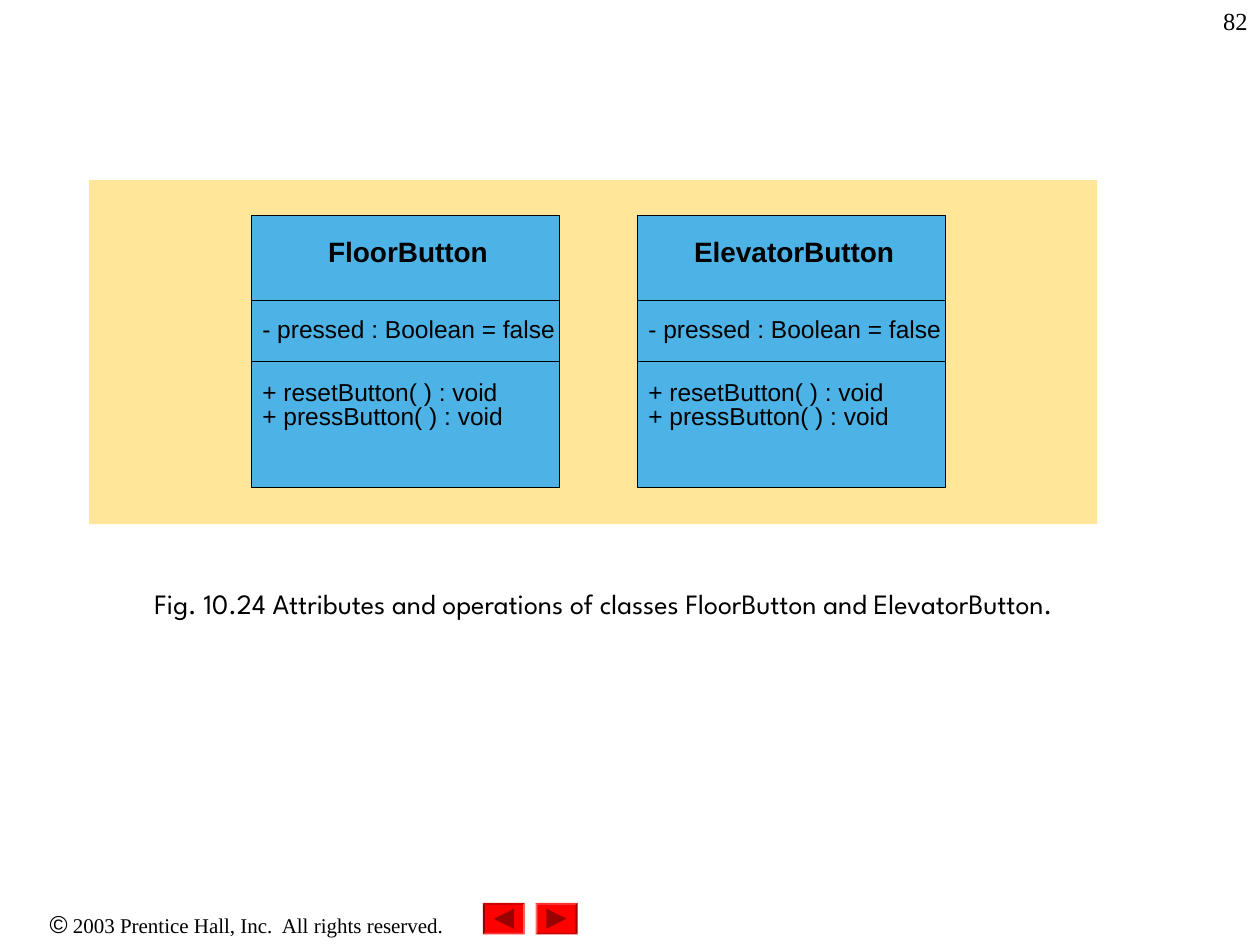
from dataclasses import dataclass

from lxml import etree
from pptx import Presentation
from pptx.dml.color import RGBColor
from pptx.enum.shapes import MSO_CONNECTOR, MSO_SHAPE
from pptx.enum.text import MSO_ANCHOR, PP_ALIGN
from pptx.oxml.ns import qn
from pptx.util import Pt

RECTANGLE, BEVEL, TRIANGLE = MSO_SHAPE.RECTANGLE, MSO_SHAPE.BEVEL, MSO_SHAPE.ISOSCELES_TRIANGLE
STRAIGHT = MSO_CONNECTOR.STRAIGHT
LEFT, CENTER, RIGHT = PP_ALIGN.LEFT, PP_ALIGN.CENTER, PP_ALIGN.RIGHT
TOP, MIDDLE = MSO_ANCHOR.TOP, MSO_ANCHOR.MIDDLE


@dataclass(frozen=True)
class Theme:
    """Colours, fonts and type sizes of the slide."""
    ink: str = "000000"
    panel: str = "FFE699"
    class_fill: str = "4DB3E6"
    button: str = "FF0000"
    arrow: str = "990000"
    sans: str = "Arial"
    serif: str = "Times New Roman"
    caption: str = "League Spartan"
    large: float = 16
    body: float = 14
    small: float = 12
    hairline: float = 0.25


THEME = Theme()
INSET = (7.2, 3.6)
CLASS_NAMES = ("FloorButton", "ElevatorButton")
ATTRIBUTES = ["- pressed : Boolean = false"]
OPERATIONS = ["+ resetButton( ) : void", "+ pressButton( ) : void"]


def add_text(slide, box, lines, font=THEME.sans, size=THEME.body, bold=False,
             align=LEFT, anchor=TOP, inset=(0, 0), spacing=None):
    """Add a text box with one paragraph a line and return its text frame."""
    frame = slide.shapes.add_textbox(*map(Pt, box)).text_frame
    frame.word_wrap = True
    frame.vertical_anchor = anchor
    frame.margin_left = frame.margin_right = Pt(inset[0])
    frame.margin_top = frame.margin_bottom = Pt(inset[1])
    for index, line in enumerate(lines):
        paragraph = frame.paragraphs[0] if index == 0 else frame.add_paragraph()
        paragraph.alignment = align
        paragraph.line_spacing = spacing
        add_run(paragraph, line, font, size, bold)
    return frame


def add_run(paragraph, text, font, size, bold=False):
    """Append a formatted run to a paragraph."""
    run = paragraph.add_run()
    run.text = text
    run.font.name, run.font.size, run.font.bold = font, Pt(size), bold
    run.font.color.rgb = RGBColor.from_string(THEME.ink)


def add_block(slide, kind, box, fill, line=None, rotation=0):
    """Add a filled preset shape without a shadow."""
    shape = slide.shapes.add_shape(kind, *map(Pt, box))
    shape.shadow.inherit = False
    shape.rotation = rotation
    shape.fill.solid()
    shape.fill.fore_color.rgb = RGBColor.from_string(fill)
    if line:
        shape.line.color.rgb = RGBColor.from_string(line)
        shape.line.width = Pt(THEME.hairline)
    else:
        shape.line.fill.background()
    return shape


def add_divider(slide, left, top, width):
    """Add a horizontal hairline between two class compartments."""
    line = slide.shapes.add_connector(STRAIGHT, Pt(left), Pt(top), Pt(left + width), Pt(top))
    line.line.color.rgb = RGBColor.from_string(THEME.ink)
    line.line.width = Pt(THEME.hairline)
    etree.SubElement(line._element.spPr, qn("a:effectLst"))


def add_class(slide, box, name):
    """Draw one class with its name, attributes and operations."""
    left, top, width, height = box
    add_block(slide, RECTANGLE, box, THEME.class_fill, THEME.ink)
    for offset in (48.2, 83.5):
        add_divider(slide, left, top + offset, width)
    add_text(slide, (left + 3, top + 14.4, width - 3, 33.8), [name],
             size=THEME.large, bold=True, align=CENTER, spacing=0.8)
    for lines, offset, depth in ((ATTRIBUTES, 59.8, 30), (OPERATIONS, 95.8, height - 95.8)):
        add_text(slide, (left + 6.2, top + offset, width - 6.2, depth), lines, spacing=0.8)


def add_diagram(slide, box):
    """Draw the panel and the two classes on it."""
    left, top, width, height = box
    add_block(slide, RECTANGLE, box, THEME.panel)
    for index, name in enumerate(CLASS_NAMES):
        add_class(slide, (left + 92.7 + index * 220.6, top + 20.1, 176, 155.6), name)


def add_navigation_button(slide, box, rotation):
    """Draw a bevelled button whose arrow points right before rotation."""
    left, top, width, height = box
    bevel = add_block(slide, BEVEL, box, THEME.button, rotation=rotation)
    bevel.adjustments[0] = 0.06
    side = 11.5
    arrow_box = (left + (width - side) / 2, top + (height - side) / 2, side, side)
    add_block(slide, TRIANGLE, arrow_box, THEME.arrow, rotation=(rotation + 90) % 360)


def add_footer(slide, box):
    """Place the copyright line and the navigation buttons."""
    left, top, width, height = box
    frame = add_text(slide, (left, top, 282, height), ["©"], align=CENTER, inset=INSET)
    add_run(frame.paragraphs[0], " 2003 Prentice Hall, Inc.  All rights reserved.",
            THEME.serif, THEME.small)
    for index, rotation in enumerate((180, 0)):
        add_navigation_button(slide, (left + 276 + index * 30, top, 24, 18), rotation)


def main():
    """Build the slide and save it."""
    presentation = Presentation()
    presentation.slide_width, presentation.slide_height = Pt(720), Pt(540)
    slide = presentation.slides.add_slide(presentation.slide_layouts[6])
    add_footer(slide, (0, 516, 720, 24))
    add_text(slide, (30, 324, 630, 42),
             ["Fig. 10.24 Attributes and operations of classes FloorButton and ElevatorButton."],
             font=THEME.caption, size=THEME.large, align=CENTER, anchor=MIDDLE, inset=INSET)
    add_diagram(slide, (51, 103, 576, 196.5))
    add_text(slide, (570, 0, 150, 36), ["82"], font=THEME.serif, align=RIGHT, inset=INSET)
    presentation.save("out.pptx")


if __name__ == "__main__":
    main()
